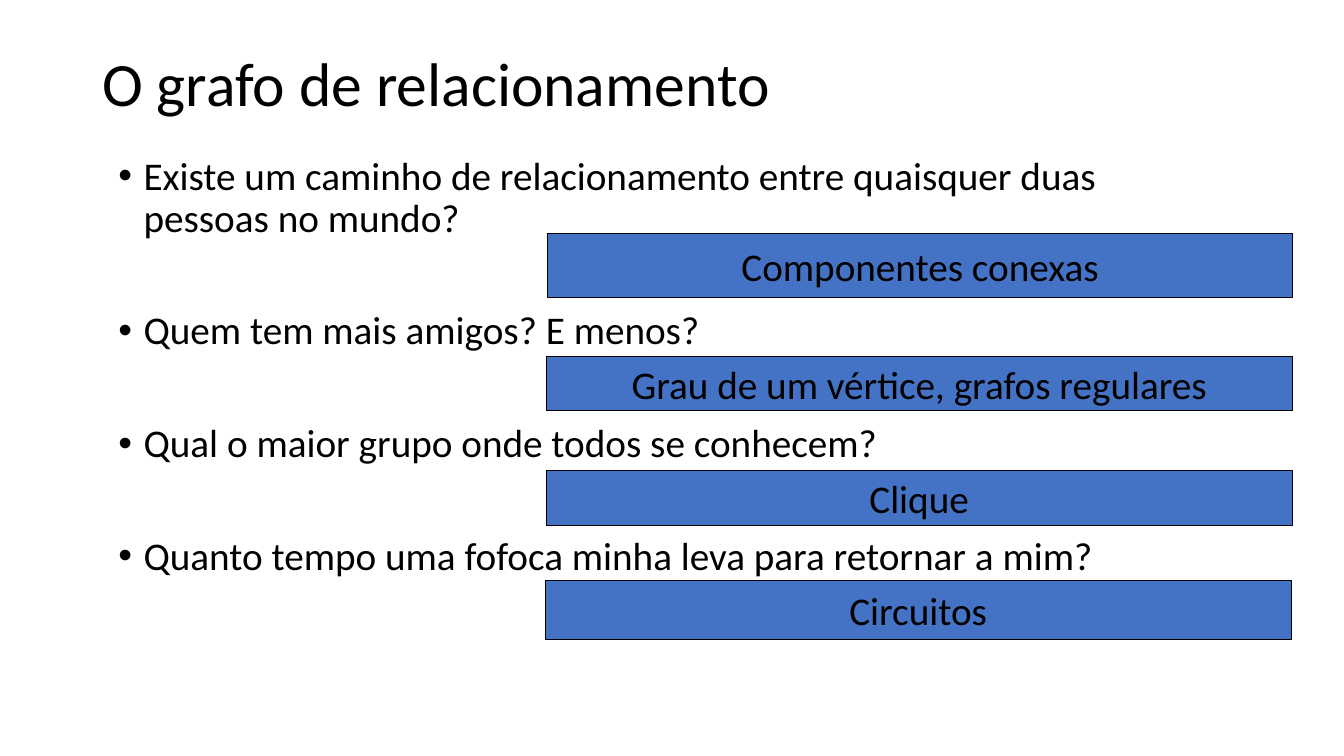
import pptx
import pptx.util
import pptx.dml.color
import pptx.enum.shapes
import pptx.enum.text
import lxml.etree

Pt = pptx.util.Pt
BLACK = pptx.dml.color.RGBColor(0x00, 0x00, 0x00)
BLUE = pptx.dml.color.RGBColor(0x44, 0x72, 0xC4)
MIDDLE = pptx.enum.text.MSO_ANCHOR.MIDDLE
CENTER = pptx.enum.text.PP_ALIGN.CENTER
RECT = pptx.enum.shapes.MSO_SHAPE.RECTANGLE
DRAW = "{http://schemas.openxmlformats.org/drawingml/2006/main}"

QUESTIONS = [
    "Existe um caminho de relacionamento entre quaisquer duas pessoas no mundo?",
    "Quem tem mais amigos? E menos?",
    "Qual o maior grupo onde todos se conhecem?",
    "Quanto tempo uma fofoca minha leva para retornar a mim?",
]
# text, left, top, height
ANSWERS = [
    ("Componentes conexas", 390.8, 167, 45.4),
    ("Grau de um vértice, grafos regulares", 390.2, 254.6, 38.6),
    ("Clique", 390.2, 336.2, 38.9),
    ("Circuitos", 389.5, 414.7, 41.8),
]


def add_run(para, text, size):
    run = para.add_run()
    run.text = text
    run.font.name = "Calibri"
    run.font.size = Pt(size)
    run.font.color.rgb = BLACK


def add_bullet(para):
    props = para._p.get_or_add_pPr()
    props.set("marL", str(Pt(18)))
    props.set("indent", str(-Pt(18)))
    lxml.etree.SubElement(props, DRAW + "buFont", typeface="Arial")
    lxml.etree.SubElement(props, DRAW + "buChar", char="•")


deck = pptx.Presentation()
deck.slide_width = Pt(960)
deck.slide_height = Pt(540)
slide = deck.slides.add_slide(deck.slide_layouts[6])

# Title
title = slide.shapes.add_textbox(Pt(66), Pt(28.8), Pt(828), Pt(65.5))
frame = title.text_frame
frame.word_wrap = True
frame.vertical_anchor = MIDDLE
para = frame.paragraphs[0]
para.line_spacing = 0.9
add_run(para, "O grafo de relacionamento", 44)

# Answer bars
for text, left, top, height in ANSWERS:
    bar = slide.shapes.add_shape(RECT, Pt(left), Pt(top), Pt(532.8), Pt(height))
    bar.shadow.inherit = False
    bar.fill.solid()
    bar.fill.fore_color.rgb = BLUE
    bar.line.color.rgb = BLACK
    bar.line.width = Pt(0.75)
    frame = bar.text_frame
    frame.word_wrap = False
    frame.vertical_anchor = MIDDLE
    para = frame.paragraphs[0]
    para.alignment = CENTER
    add_run(para, text, 28)

# Questions, spaced to leave room for the bars
body = slide.shapes.add_textbox(Pt(77.5), Pt(108), Pt(799.2), Pt(324))
frame = body.text_frame
frame.word_wrap = True
for index, text in enumerate(QUESTIONS):
    para = frame.add_paragraph() if index else frame.paragraphs[0]
    add_bullet(para)
    para.line_spacing = 0.9
    if index:
        para.space_before = Pt(50.2)
    add_run(para, text, 28)

deck.save("out.pptx")
